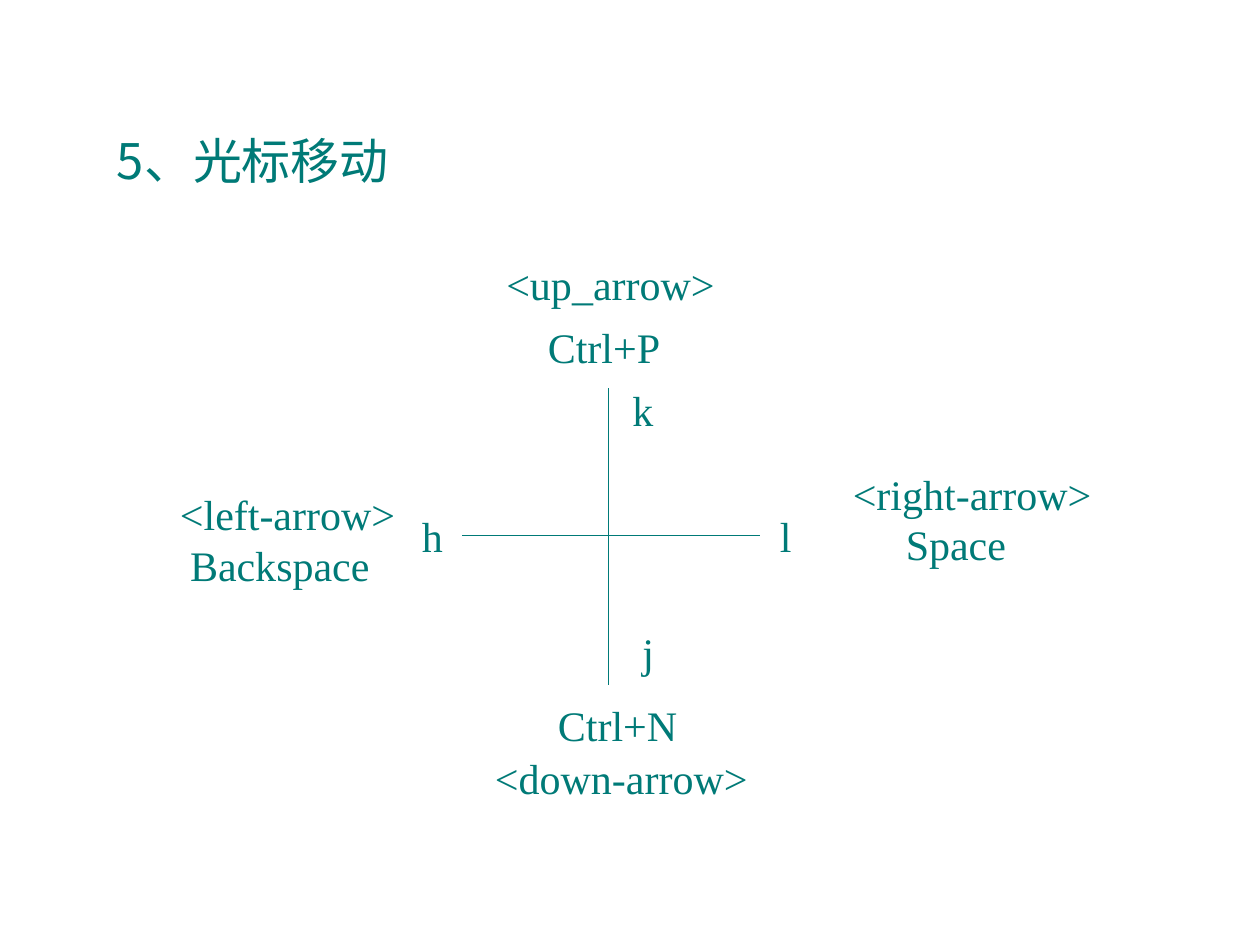
from lxml.etree import SubElement
from pptx import Presentation
from pptx.dml.color import RGBColor
from pptx.enum.shapes import MSO_CONNECTOR
from pptx.enum.text import MSO_AUTO_SIZE
from pptx.oxml.ns import qn
from pptx.util import Inches, Pt

TEAL = "007A77"
LATIN_FONT = "Times New Roman"
TITLE_FONT = "Noto Sans CJK SC"

TITLE = "5、光标移动"

# lines of text, (left, top, width, height), wraps, indent of the second line
LABELS = [
    (["<up_arrow>"], (3.92, 2, 1.85, 0.5), False, 0),
    (["k"], (4.92, 3, 0.36, 0.5), False, 0),
    (["Ctrl+P"], (4.25, 2.5, 1.17, 0.5), True, 0),
    (["<down-arrow>"], (3.83, 5.92, 2.21, 0.5), True, 0),
    (["Ctrl+N"], (4.33, 5.5, 1.16, 0.5), False, 0),
    (["j"], (5, 4.92, 0.29, 0.5), False, 0),
    (["<left-arrow>", "Backspace"], (1.33, 3.83, 1.91, 0.9), False, 0.08),
    (["h"], (3.25, 4, 0.36, 0.5), False, 0),
    (["<right-arrow>", "Space"], (6.67, 3.67, 2.25, 0.9), True, 0.42),
    (["l"], (6.09, 4, 0.29, 0.5), False, 0),
]

# left, top, right, bottom
AXES = [(3.67, 4.25, 6.03, 4.25), (4.83, 3.08, 4.83, 5.44)]


def color(value):
    return RGBColor.from_string(value)


def add_text(page, lines, place, size=24, font=LATIN_FONT, wrap=True, indent=0):
    """Add a text box; indent shifts every line after the first."""
    box = page.shapes.add_textbox(*map(Inches, place))
    frame = box.text_frame
    frame.word_wrap = wrap
    frame.auto_size = MSO_AUTO_SIZE.SHAPE_TO_FIT_TEXT
    for index, line in enumerate(lines):
        para = frame.add_paragraph() if index else frame.paragraphs[0]
        if index and indent:
            para._p.get_or_add_pPr().set("marL", str(Inches(indent)))
        span = para.add_run()
        span.text = line
        span.font.size = Pt(size)
        span.font.name = font
        span.font.color.rgb = color(TEAL)
        SubElement(span.font._element, qn("a:ea")).set("typeface", font)


def add_line(page, ends):
    line = page.shapes.add_connector(MSO_CONNECTOR.STRAIGHT, *map(Inches, ends))
    line.line.color.rgb = color(TEAL)
    line.line.width = Pt(0.75)
    SubElement(line._element.spPr, qn("a:effectLst"))


def main():
    deck = Presentation()
    deck.slide_width, deck.slide_height = Inches(10), Inches(7.5)
    page = deck.slides.add_slide(deck.slide_layouts[6])

    add_text(page, [TITLE], (0.83, 0.99, 6.85, 0.57), size=28, font=TITLE_FONT)
    for ends in AXES:
        add_line(page, ends)
    for lines, place, wrap, indent in LABELS:
        add_text(page, lines, place, wrap=wrap, indent=indent)

    deck.save("out.pptx")


if __name__ == "__main__":
    main()
